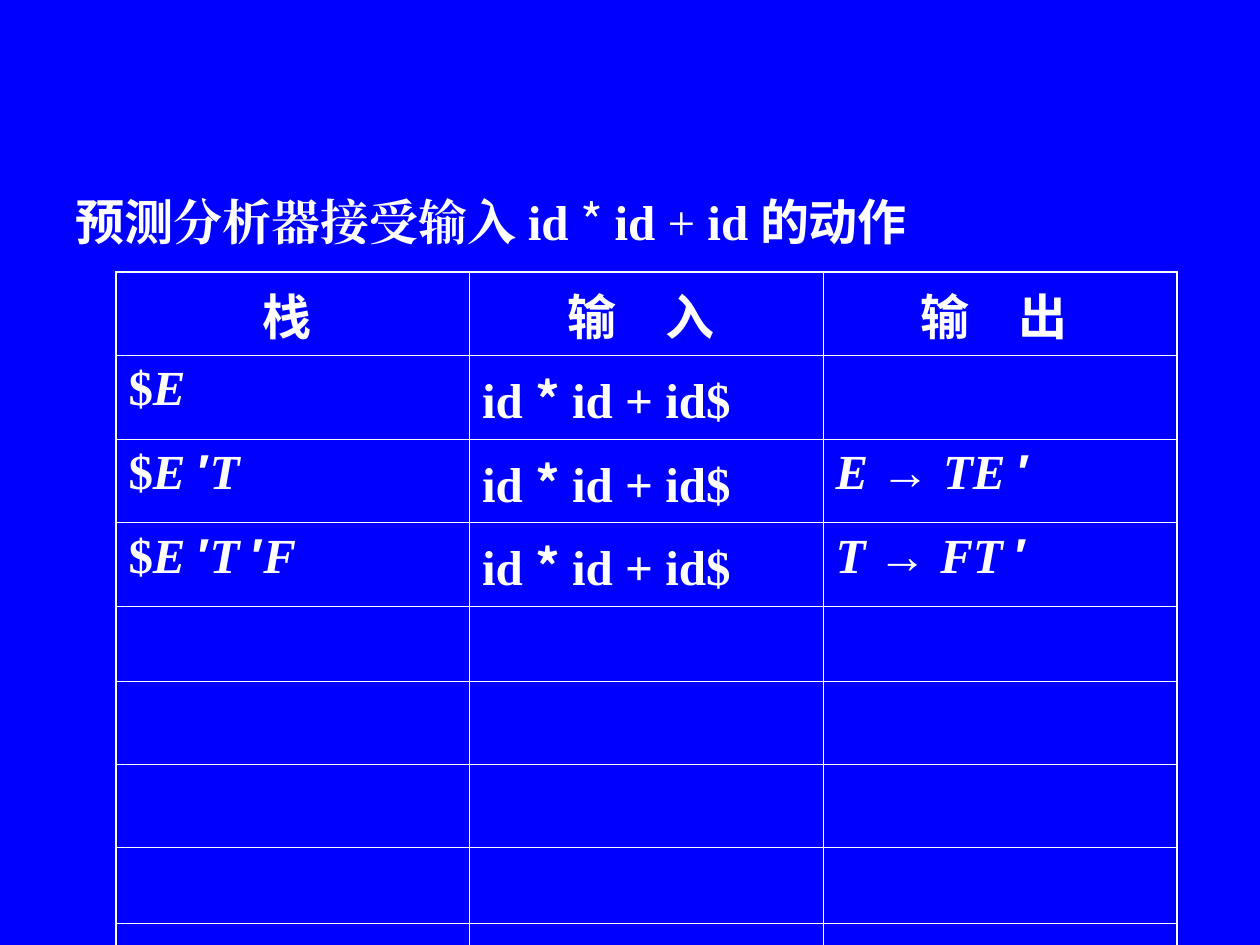
from lxml.etree import SubElement
from pptx import Presentation
from pptx.dml.color import RGBColor
from pptx.enum.text import MSO_ANCHOR, MSO_AUTO_SIZE, PP_ALIGN
from pptx.oxml.ns import qn
from pptx.util import Inches, Pt

COLORS = {"ground": "0000FF", "ink": "FFFFFF"}
TEXT_SIZE = 28
THIN, THICK = 0.45, 1.08
ROW_HEIGHTS = [0.57] * 4 + [0.6, 0.66, 0.66, 0.6, 0.57]

# style: font, bold, italic
STYLES = {
    "heading": ("Noto Sans CJK SC", True, False),
    "mono": ("Courier New", True, False),
    "upright": ("Times New Roman", True, False),
    "plain": ("Times New Roman", False, False),
    "symbol": ("Times New Roman", True, True),
    "mark": ("Arial", True, False),
    "star": ("Noto Sans CJK SC", True, False),
    "light star": ("Noto Sans CJK SC", False, False),
}

TITLE = [("预测", "mono"), ("分析器接受输入id ", "upright"), ("* ", "light star"),
         ("id", "upright"), (" + ", "plain"), ("id", "upright"), ("的动作", "mono")]
HEADINGS = ["栈 ", "输　入 ", "输　出 "]
DOLLAR = ("$", "upright")
PRIME = ("′", "mark")
INPUT = [("id ", "upright"), ("*", "star"), (" id + id$", "upright")]


def production(left, right):
    return [(left + " ", "symbol"), ("→ ", "mark"), (right + " ", "symbol"), PRIME]


STEPS = [
    ([DOLLAR, ("E", "symbol")], INPUT, []),
    ([DOLLAR, ("E ", "symbol"), PRIME, ("T", "symbol")], INPUT, production("E", "TE")),
    ([DOLLAR, ("E ", "symbol"), PRIME, ("T ", "symbol"), PRIME, ("F", "symbol")],
     INPUT, production("T", "FT")),
]


def color(name):
    return RGBColor.from_string(COLORS[name])


def write_runs(para, runs, align=PP_ALIGN.LEFT):
    para.alignment = align
    for text, style in runs:
        span = para.add_run()
        span.text = text
        font = span.font
        font.name, font.bold, font.italic = STYLES[style]
        font.size = Pt(TEXT_SIZE)
        font.color.rgb = color("ink")
        SubElement(span._r.get_or_add_rPr(), qn("a:ea"), typeface=font.name)


def set_borders(cell, widths):
    """Draw the left, top, right and bottom borders, widths in points."""
    properties = cell._tc.get_or_add_tcPr()
    for side, width in zip("LTRB", widths):
        line = SubElement(properties, qn(f"a:ln{side}"), w=str(Pt(width)))
        fill = SubElement(line, qn("a:solidFill"))
        SubElement(fill, qn("a:srgbClr"), val=COLORS["ink"])


def add_title(page, left, top, width, height):
    box = page.shapes.title
    box.left, box.top, box.width, box.height = map(Inches, (left, top, width, height))
    box.fill.solid()
    box.fill.fore_color.rgb = color("ground")
    frame = box.text_frame
    frame.word_wrap = True
    frame.auto_size = MSO_AUTO_SIZE.NONE
    frame.vertical_anchor = MSO_ANCHOR.MIDDLE
    write_runs(frame.paragraphs[0], TITLE)


def add_parse_table(page, left, top, width):
    row_count, column_count = len(ROW_HEIGHTS), len(HEADINGS)
    table = page.shapes.add_table(
        row_count, column_count, Inches(left), Inches(top),
        Inches(width), Inches(sum(ROW_HEIGHTS))).table
    table.first_row = table.horz_banding = False
    for row, height in zip(table.rows, ROW_HEIGHTS):
        row.height = Inches(height)

    for r in range(row_count):
        for c in range(column_count):
            cell = table.cell(r, c)
            outer = (c == 0, r == 0, c == column_count - 1, r == row_count - 1)
            set_borders(cell, [THICK if edge else THIN for edge in outer])
            cell.fill.background()

    for c, heading in enumerate(HEADINGS):
        write_runs(table.cell(0, c).text_frame.paragraphs[0],
                   [(heading, "heading")], PP_ALIGN.CENTER)
    for r, step in enumerate(STEPS, start=1):
        for c, runs in enumerate(step):
            write_runs(table.cell(r, c).text_frame.paragraphs[0], runs)


def main():
    deck = Presentation()
    deck.slide_width, deck.slide_height = Inches(10), Inches(7.5)
    page = deck.slides.add_slide(deck.slide_layouts[5])
    page.background.fill.solid()
    page.background.fill.fore_color.rgb = color("ground")
    add_parse_table(page, 0.92, 2.16, 8.42)
    add_title(page, 0.5, 1.42, 8.92, 0.67)
    deck.save("out.pptx")


if __name__ == "__main__":
    main()
